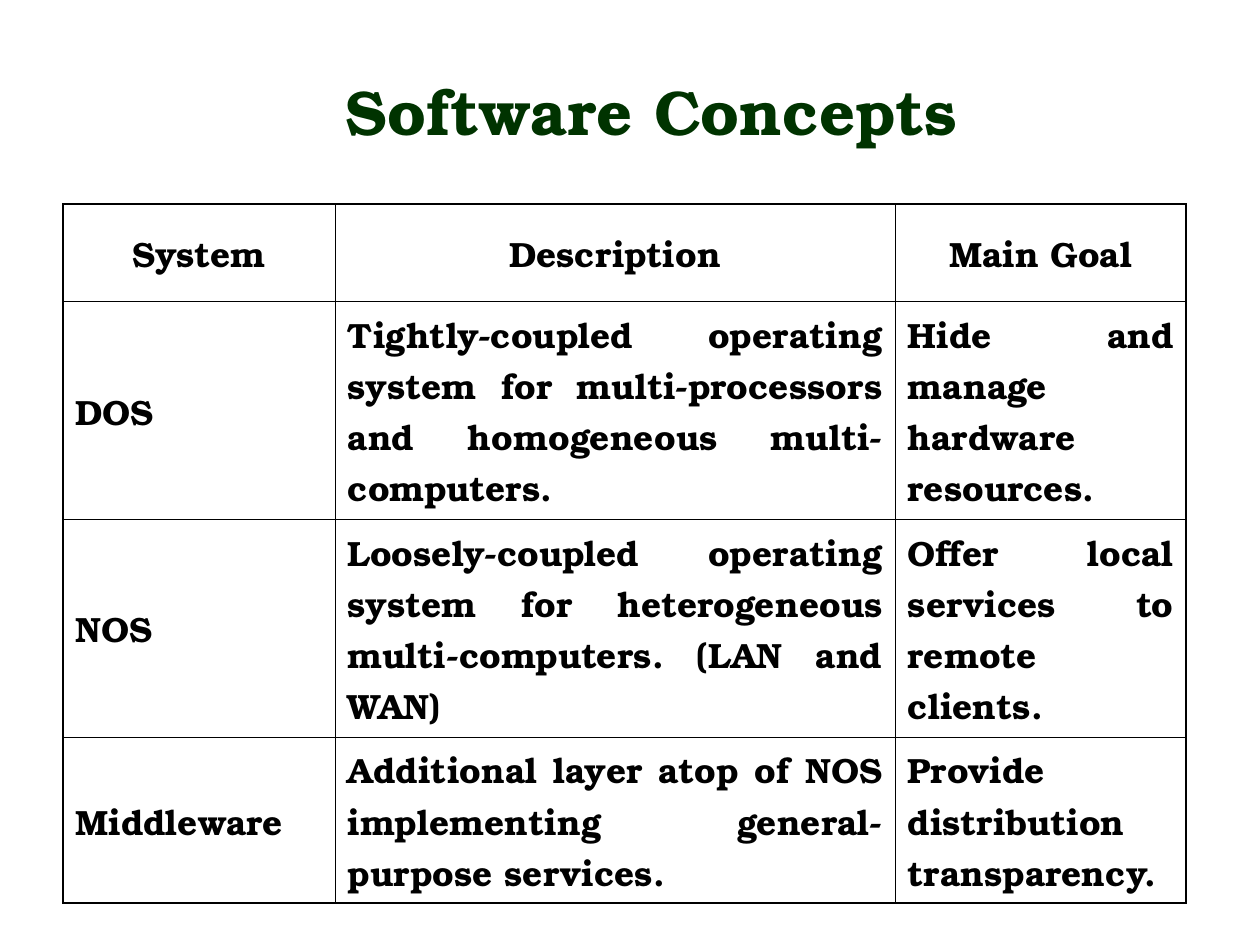
from dataclasses import dataclass

from lxml.etree import SubElement
from pptx import Presentation
from pptx.dml.color import RGBColor
from pptx.enum.text import MSO_ANCHOR, PP_ALIGN
from pptx.oxml.ns import qn
from pptx.util import Emu, Inches, Pt

FONT = "TeX Gyre Bonum"
INK = "000000"
TITLE_GREEN = "003300"
GRID_COLUMNS = 1000
SLIDE_WIDTH, SLIDE_HEIGHT = Inches(10), Inches(7.5)
OUTER_LINE, INNER_LINE = 1.08, 0.45
COLUMN_SPANS = (216, 444.5, 231)
ROW_SPANS = (77, 173, 173, 132)


@dataclass(frozen=True)
class SystemRow:
    system: str
    description: str
    goal: str
    align: PP_ALIGN = PP_ALIGN.JUSTIFY


SYSTEMS = (
    SystemRow("System", "Description", "Main Goal", PP_ALIGN.CENTER),
    SystemRow(
        "DOS",
        "Tightly-coupled operating system for multi-processors and homogeneous multi-computers.",
        "Hide and manage hardware resources.",
    ),
    SystemRow(
        "NOS",
        "Loosely-coupled operating system for heterogeneous multi-computers. (LAN and WAN)",
        "Offer local services to remote clients.",
    ),
    SystemRow(
        "Middleware",
        "Additional layer atop of NOS implementing general-purpose services.",
        "Provide distribution transparency.",
    ),
)


def units(count: float) -> Emu:
    """Return the length of a number of square grid units."""
    return Emu(round(SLIDE_WIDTH * count / GRID_COLUMNS))


def colour(value: str) -> RGBColor:
    """Turn a hex string into a colour."""
    return RGBColor.from_string(value)


def write(frame, text: str, *, size: float, ink: str = INK, align: PP_ALIGN) -> None:
    """Write one bold paragraph into a text frame."""
    frame.word_wrap = True
    paragraph = frame.paragraphs[0]
    paragraph.alignment = align
    run = paragraph.add_run()
    run.text = text
    run.font.name = FONT
    run.font.size = Pt(size)
    run.font.bold = True
    run.font.color.rgb = colour(ink)


def add_border(cell, side: str, width: float) -> None:
    """Draw one side of a cell as a solid line."""
    line = SubElement(cell._tc.get_or_add_tcPr(), qn(f"a:ln{side}"), w=str(Pt(width)))
    fill = SubElement(line, qn("a:solidFill"))
    SubElement(fill, qn("a:srgbClr"), val=INK)


def add_title(slide) -> None:
    """Place the slide heading."""
    heading = slide.shapes.add_textbox(units(92), units(25), units(850), units(125))
    heading.text_frame.vertical_anchor = MSO_ANCHOR.MIDDLE
    write(heading.text_frame, "Software Concepts", size=36, ink=TITLE_GREEN, align=PP_ALIGN.CENTER)


def add_system_table(slide) -> None:
    """Lay out the comparison of systems with a heavier outer frame."""
    last_row, last_column = len(ROW_SPANS) - 1, len(COLUMN_SPANS) - 1
    table = slide.shapes.add_table(
        len(ROW_SPANS), len(COLUMN_SPANS),
        units(50), units(162), units(sum(COLUMN_SPANS)), units(sum(ROW_SPANS)),
    ).table
    table.first_row = table.horz_banding = False
    for column, span in zip(table.columns, COLUMN_SPANS):
        column.width = units(span)
    for row_index, (system, span) in enumerate(zip(SYSTEMS, ROW_SPANS)):
        table.rows[row_index].height = units(span)
        for column_index, text in enumerate((system.system, system.description, system.goal)):
            cell = table.cell(row_index, column_index)
            cell.vertical_anchor = MSO_ANCHOR.MIDDLE
            on_frame = {
                "L": column_index == 0,
                "R": column_index == last_column,
                "T": row_index == 0,
                "B": row_index == last_row,
            }
            for side, outer in on_frame.items():
                add_border(cell, side, OUTER_LINE if outer else INNER_LINE)
            cell.fill.background()
            write(cell.text_frame, text, size=20, align=system.align)


def main() -> None:
    """Build and save the slide."""
    deck = Presentation()
    deck.slide_width, deck.slide_height = SLIDE_WIDTH, SLIDE_HEIGHT
    slide = deck.slides.add_slide(deck.slide_layouts[6])
    add_title(slide)
    add_system_table(slide)
    deck.save("out.pptx")


if __name__ == "__main__":
    main()
